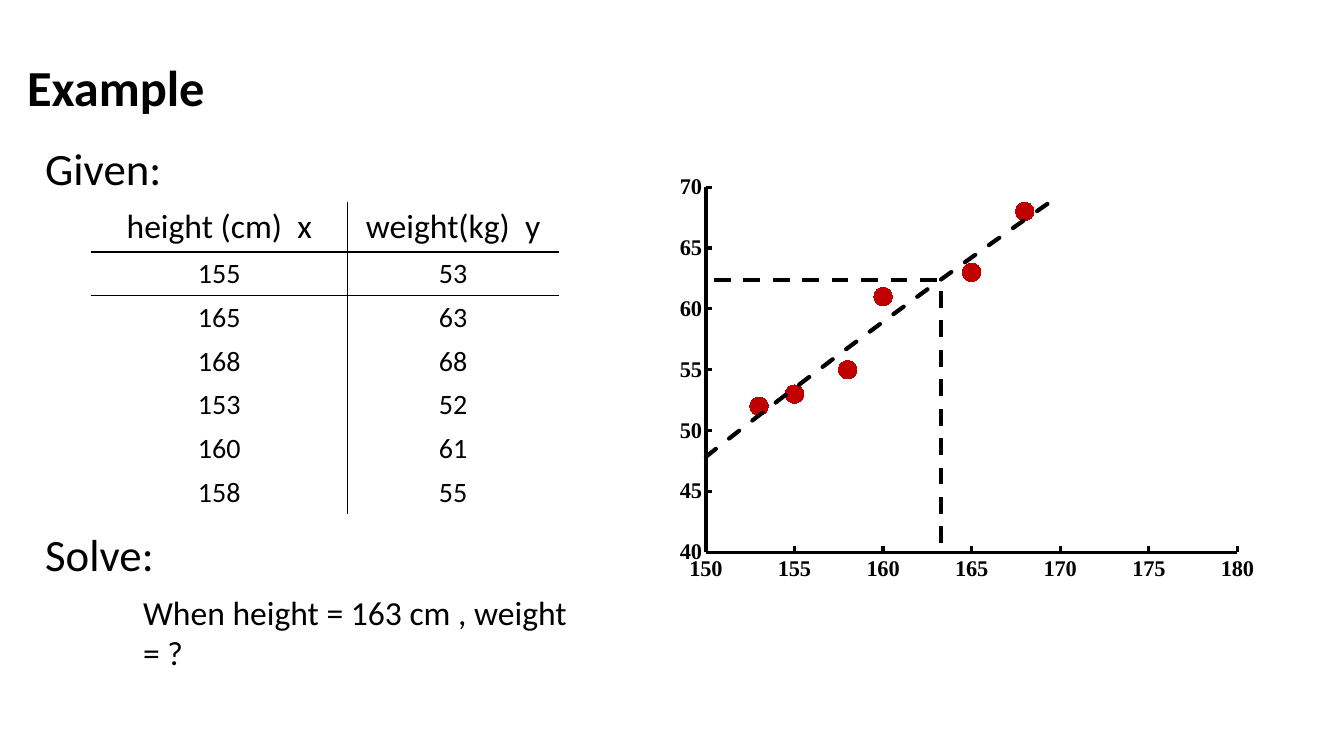
from lxml.etree import SubElement
from pptx import Presentation
from pptx.chart.data import XyChartData
from pptx.dml.color import RGBColor
from pptx.enum.chart import XL_AXIS_CROSSES, XL_CHART_TYPE, XL_MARKER_STYLE, XL_TICK_MARK
from pptx.enum.dml import MSO_LINE
from pptx.enum.shapes import MSO_CONNECTOR
from pptx.enum.text import MSO_ANCHOR, PP_ALIGN
from pptx.oxml import parse_xml
from pptx.oxml.ns import nsdecls, qn
from pptx.util import Pt

PX = 9144  # 100 px to the inch
BLACK = RGBColor(0x00, 0x00, 0x00)
RED = RGBColor(0xC0, 0x00, 0x00)
BODY_FONT = "Calibri"
CHART_FONT = "Times New Roman"
PLAIN_TABLE_STYLE = "{2D5ABB26-0587-4C30-8999-92F81FD0307C}"

HEADINGS = ("height (cm)  x", "weight(kg)  y")
MEASUREMENTS = ((155, 53), (165, 63), (168, 68), (153, 52), (160, 61), (158, 55))


def px(*lengths):
    return [length * PX for length in lengths]


def add_span(para, text, size, bold=False):
    span = para.add_run()
    span.text = text
    span.font.name = BODY_FONT
    span.font.size = Pt(size)
    span.font.bold = bold
    span.font.color.rgb = BLACK


def add_text(page, place, text, size, bold=False, anchor=MSO_ANCHOR.TOP, spacing=1.0):
    frame = page.shapes.add_textbox(*px(*place)).text_frame
    frame.word_wrap = True
    frame.vertical_anchor = anchor
    para = frame.paragraphs[0]
    para.line_spacing = spacing
    add_span(para, text, size, bold)


def add_borders(cell, sides):
    """Draw 1 pt black borders; sides are given in the order L, R, T, B."""
    properties = cell._tc.get_or_add_tcPr()
    for index, side in enumerate(sides):
        properties.insert(index, parse_xml(
            f'<a:ln{side} {nsdecls("a")} w="12700"><a:solidFill>'
            f'<a:srgbClr val="{BLACK}"/></a:solidFill></a:ln{side}>'))


def add_measurement_table(page):
    rows = (HEADINGS, *MEASUREMENTS)
    frame = page.shapes.add_table(len(rows), 2, *px(90, 200, 464, 307))
    table = frame.table
    table.first_row = table.horz_banding = False
    table._tbl.tblPr.find(qn("a:tableStyleId")).text = PLAIN_TABLE_STYLE
    for column, width in zip(table.columns, px(255, 209)):
        column.width = width
    for row_index, values in enumerate(rows):
        table.rows[row_index].height = (43 if row_index else 49) * PX
        for column_index, value in enumerate(values):
            cell = table.cell(row_index, column_index)
            cell.fill.background()
            para = cell.text_frame.paragraphs[0]
            para.alignment = PP_ALIGN.CENTER
            add_span(para, str(value), 20 if row_index else 24)
            sides = "L" if column_index else "R"
            sides += {0: "B", 1: "T"}.get(row_index, "")
            add_borders(cell, sides)


def style_axis(axis, low, high):
    axis.minimum_scale, axis.maximum_scale, axis.major_unit = low, high, 5
    axis.has_major_gridlines = False
    axis.major_tick_mark = XL_TICK_MARK.INSIDE
    axis.minor_tick_mark = XL_TICK_MARK.NONE
    axis.crosses = XL_AXIS_CROSSES.MINIMUM
    axis.format.line.color.rgb = BLACK
    axis.format.line.width = Pt(2.25)
    font = axis.tick_labels.font
    font.name, font.size, font.bold = CHART_FONT, Pt(16), True
    font.color.rgb = BLACK


def add_trend_line(series):
    trend = parse_xml(
        f'<c:trendline {nsdecls("c", "a")}><c:spPr><a:ln w="38100" cap="rnd">'
        f'<a:solidFill><a:srgbClr val="{BLACK}"/></a:solidFill>'
        '<a:prstDash val="dash"/></a:ln></c:spPr><c:trendlineType val="log"/>'
        '<c:forward val="1.5"/><c:backward val="3"/>'
        '<c:dispRSqr val="0"/><c:dispEq val="0"/></c:trendline>')
    series._element.find(qn("c:xVal")).addprevious(trend)


def set_plot_layout(chart, x, y, w, h):
    area = chart._chartSpace.chart.plotArea
    for layout in area.findall(qn("c:layout")):
        area.remove(layout)
    sizes = "".join(f'<c:{name} val="{value}"/>'
                    for name, value in zip("xywh", (x, y, w, h)))
    area.insert(0, parse_xml(
        f'<c:layout {nsdecls("c")}><c:manualLayout><c:layoutTarget val="inner"/>'
        f'<c:xMode val="edge"/><c:yMode val="edge"/>{sizes}'
        '</c:manualLayout></c:layout>'))


def add_scatter_chart(page):
    data = XyChartData()
    points = data.add_series("Series 1")
    for height, weight in sorted(MEASUREMENTS):
        points.add_data_point(height, weight)
    chart = page.shapes.add_chart(
        XL_CHART_TYPE.XY_SCATTER, *px(645, 168, 613, 442), data).chart
    chart.has_title = chart.has_legend = False
    chart.font.name, chart.font.size = CHART_FONT, Pt(16)
    chart.font.color.rgb = BLACK
    chart.plots[0].vary_by_categories = False
    style_axis(chart.category_axis, 150, 180)
    style_axis(chart.value_axis, 40, 70)
    series = chart.plots[0].series[0]
    series.format.line.fill.background()
    series.marker.style = XL_MARKER_STYLE.CIRCLE
    series.marker.size = 13
    series.marker.format.fill.solid()
    series.marker.format.fill.fore_color.rgb = RED
    series.marker.format.line.color.rgb = RED
    add_trend_line(series)
    set_plot_layout(chart, 0.09, 0.04, 0.86, 0.82)


def add_dashed_line(page, *ends):
    line = page.shapes.add_connector(MSO_CONNECTOR.STRAIGHT, *px(*ends))
    line.line.color.rgb = BLACK
    line.line.width = Pt(3)
    line.line.dash_style = MSO_LINE.DASH
    SubElement(line._element.spPr, qn("a:effectLst"))


def main():
    deck = Presentation()
    deck.slide_width, deck.slide_height = px(1333, 750)
    page = deck.slides.add_slide(deck.slide_layouts[6])
    add_text(page, (17, 21, 1274, 100), "Example", 36, True, MSO_ANCHOR.BOTTOM, 0.9)
    add_measurement_table(page)
    add_text(page, (35, 135, 194, 64), "Given:", 32)
    add_scatter_chart(page)
    add_text(page, (132, 582, 485, 50), "When height = 163 cm , weight = ?", 24)
    add_text(page, (35, 518, 194, 64), "Solve:", 32)
    add_dashed_line(page, 933, 539, 933, 279)
    add_dashed_line(page, 708, 278, 933, 278)
    deck.save("out.pptx")


if __name__ == "__main__":
    main()
